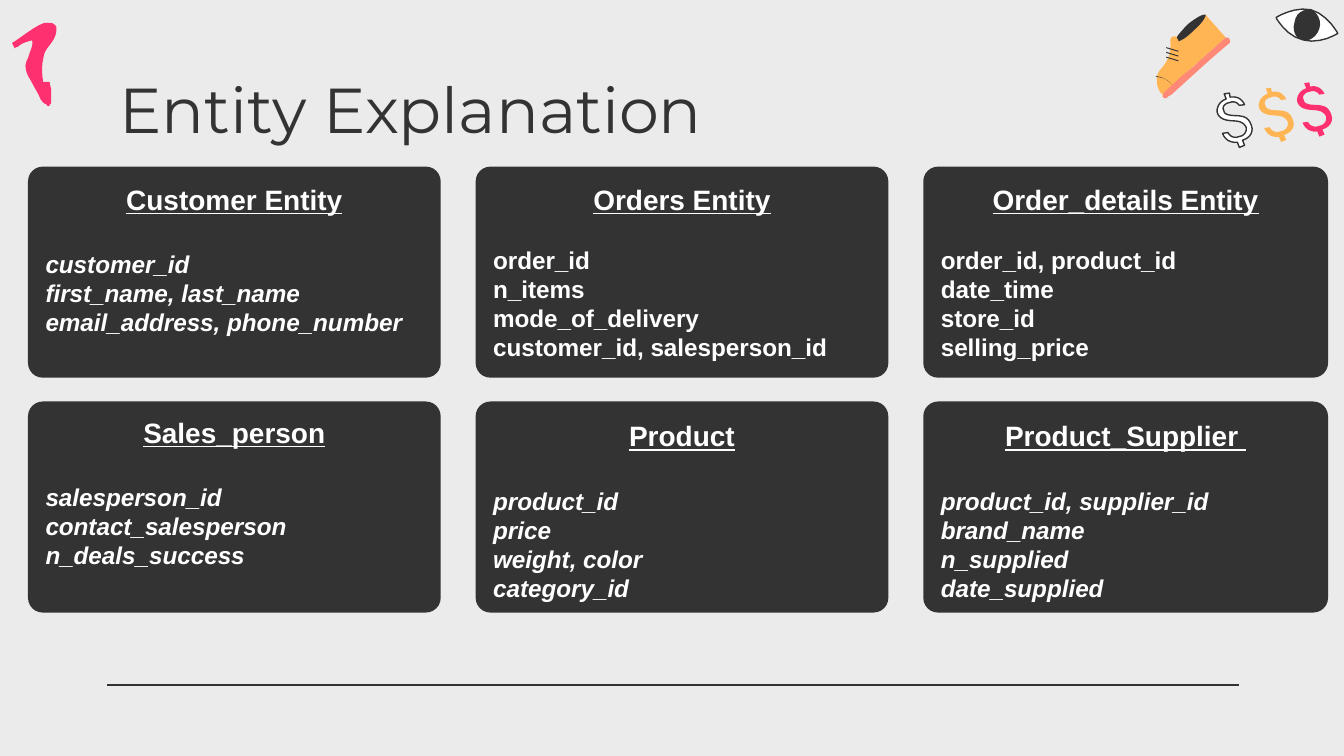
"""Build the "Entity Explanation" slide with six entity cards."""

from lxml.etree import SubElement
from pptx import Presentation
from pptx.dml.color import RGBColor
from pptx.enum.shapes import MSO_CONNECTOR, MSO_SHAPE
from pptx.enum.text import MSO_ANCHOR, PP_ALIGN
from pptx.oxml.ns import qn
from pptx.util import Cm, Pt

DARK = RGBColor(0x33, 0x33, 0x33)
WHITE = RGBColor(0xFF, 0xFF, 0xFF)
PAPER = RGBColor(0xEB, 0xEB, 0xEB)
PINK = RGBColor(0xFF, 0x30, 0x70)
ORANGE = RGBColor(0xFF, 0xB5, 0x54)
CORAL = RGBColor(0xFF, 0x88, 0x76)

UNIT = Cm(2.54) / 1000
CURVE_STEPS = 6
INSET = Cm(0.25)

CARD_LEFT, CARD_TOP = 0.53, 3.15
COLUMN_PITCH, ROW_PITCH = 8.46, 4.44
CARD_WIDTHS = (7.8, 7.8, 7.65)
CARD_HEIGHT = 3.99

CARDS = (
    ("Customer Entity", ("customer_id", "first_name, last_name", "email_address, phone_number"),
     {"italic": True, "top": 0.22, "gap": 17.8}),
    ("Orders Entity", ("order_id", "n_items", "mode_of_delivery", "customer_id, salesperson_id"),
     {"italic": False, "top": 0.22, "gap": 15.4}),
    ("Order_details Entity", ("order_id, product_id", "date_time", "store_id", "selling_price"),
     {"italic": False, "top": 0.22, "gap": 15.4}),
    ("Sales_person", ("salesperson_id", "contact_salesperson", "n_deals_success"),
     {"italic": True, "top": 0.18, "gap": 17.8}),
    ("Product", ("product_id", "price", "weight, color", "category_id"),
     {"italic": True, "top": 0.25, "gap": 17.8}),
    ("Product_Supplier ", ("product_id, supplier_id", "brand_name", "n_supplied", "date_supplied"),
     {"italic": True, "top": 0.25, "gap": 17.8}),
)

SHOE_BODY = ("M 896,11 L 889,16 C 885,20 880,24 876,28 874,29 874,30 874,32 872,38 869,45 865,50 "
             "862,53 860,56 861,61 861,63 861,64 862,66 862,67 864,70 865,70 L 912,28 897,11")
SHOE_SOLE = ("M 912,28 L 893,45 C 889,49 884,53 880,56 L 866,69 C 865,70 865,71 865,72 "
             "L 866,73 868,73 C 869,72 870,71 871,71 880,63 906,39 915,32 916,31 915,29 914,28")
SHOE_OPENING = ("M 896,11 C 894,11 889,14 884,18 878,24 874,29 875,30 875,31 875,31 876,31 "
                "878,31 883,28 888,23 894,18 898,12 897,11")
SHOE_TONGUE = ("M 874,27 C 873,27 873,27 873,27 870,28 871,31 871,33 871,37 870,43 868,46 "
               "L 876,37 C 877,35 877,33 877,32 877,31 877,30 876,29 876,28 875,27 874,27")
SHOE_TOE_SEAM = "M 860,56.7 C 865,57 869,60 872,63 869,59.5 865,57.3 860,57.3"
BOOT = ("M 37,17 C 36,17 35,17 33,17 25,20 17,27 9,32 L 11,36 C 12,35 12,35 13,35 16,32 20,31 "
        "24,30 25,34 22,39 21,43 20,45 19,47 19,49 19,53 21,57 23,60 25,64 27,67 29,71 "
        "30,74 32,77 35,78 35,79 36,79 36,79 37,79 37,78 37,78 38,77 38,77 38,76 "
        "38,73 38,70 38,66 38,65 37,63 37,61 L 33,61 C 32,61 32,61 32,60 31,54 31,47 33,40 "
        "35,35 39,32 41,27 42,25 42,22 42,20 41,18 39,17 37,17")
EYE = ("M 974,7 C 961,6 949,16 949,16 949,16 958,29 971,30 984,32 996,22 996,22 "
       "996,22 987,9 974,7")
IRIS = ("M 974,7 C 968,7 963,11 963,18 962,24 965,30 971,30 976,31 981,26 982,20 "
        "983,14 979,8 974,7")
DOLLAR = ("M 973,61 L 974,65 C 969,66 966,70 966,74 967,79 971,81 978,82 983,83 985,85 986,88 "
          "986,91 984,94 980,94 976,95 973,93 972,90 L 968,90 C 969,95 973,98 978,98 "
          "L 979,102 983,101 982,97 C 988,96 991,92 990,87 989,82 987,79 978,78 "
          "973,77 971,76 971,73 970,71 972,68 976,68 980,67 982,69 983,71 L 987,71 "
          "C 986,68 984,64 977,64 L 977,61")


def trace(outline):
    """Turn an outline of lines and curves into a list of points."""
    points, controls, command = [], [], "M"
    for token in outline.split():
        if token in "MLC":
            command = token
            continue
        point = tuple(10 * float(part) for part in token.split(","))
        if command != "C":
            points.append(point)
            continue
        controls.append(point)
        if len(controls) == 3:
            curve = list(zip(points[-1], *controls))
            for step in range(1, CURVE_STEPS + 1):
                t = step / CURVE_STEPS
                s = 1 - t
                points.append(tuple(s**3 * a + 3 * s * s * t * b + 3 * s * t * t * c + t**3 * d
                                    for a, b, c, d in curve))
            controls = []
    return points


def paint(shape, fill, line=None):
    """Give a shape a flat fill and an optional thin line."""
    shape.shadow.inherit = False
    shape.fill.solid()
    shape.fill.fore_color.rgb = fill
    if line is None:
        shape.line.fill.background()
    else:
        shape.line.color.rgb = line
        shape.line.width = Pt(0.75)


def add_outline(page, outline, fill, line=None, shift=(0, 0), rotation=0):
    """Draw a closed freeform, moved by hundredths of an inch."""
    points = [(x + 10 * shift[0], y + 10 * shift[1]) for x, y in trace(outline)]
    builder = page.shapes.build_freeform(*points[0], scale=UNIT)
    builder.add_line_segments(points[1:], close=True)
    shape = builder.convert_to_shape()
    shape.rotation = rotation
    paint(shape, fill, line)


def add_line(page, start, end, width):
    """Draw a straight dark line between two points in centimetres."""
    line = page.shapes.add_connector(MSO_CONNECTOR.STRAIGHT, *map(Cm, start + end))
    line.line.color.rgb = DARK
    line.line.width = Pt(width)
    SubElement(line._element.spPr, qn("a:effectLst"))


def write(para, text, *, size, color, font="Arial", bold=False, italic=False, underline=False,
          align=PP_ALIGN.LEFT):
    """Put one formatted span of text in a paragraph."""
    para.alignment = align
    span = para.add_run()
    span.text = text
    span.font.name, span.font.size, span.font.color.rgb = font, Pt(size), color
    span.font.bold, span.font.italic, span.font.underline = bold, italic, underline


def prepare_frame(box, anchor, top=INSET):
    """Set wrapping, insets and anchor, and return the text frame."""
    frame = box.text_frame
    frame.word_wrap = True
    frame.vertical_anchor = anchor
    frame.margin_left = frame.margin_right = frame.margin_bottom = INSET
    frame.margin_top = top
    return frame


def add_card(page, index, name, fields, italic, top, gap):
    """Draw one entity card at its place in the grid."""
    row, column = divmod(index, len(CARD_WIDTHS))
    box = page.shapes.add_shape(
        MSO_SHAPE.ROUNDED_RECTANGLE, Cm(CARD_LEFT + column * COLUMN_PITCH),
        Cm(CARD_TOP + row * ROW_PITCH), Cm(CARD_WIDTHS[column]), Cm(CARD_HEIGHT))
    box.adjustments[0] = 0.07
    paint(box, DARK)
    frame = prepare_frame(box, MSO_ANCHOR.TOP, Cm(top))
    heading = frame.paragraphs[0]
    heading.space_after = Pt(gap)
    write(heading, name, size=15, color=WHITE, bold=True, underline=True, align=PP_ALIGN.CENTER)
    for field in fields:
        para = frame.add_paragraph()
        para.line_spacing = Pt(15.6)
        write(para, field, size=13, color=WHITE, bold=True, italic=italic)


def add_title(page, text):
    """Add the slide title."""
    box = page.shapes.add_textbox(Cm(2.01), Cm(1.24), Cm(21.41), Cm(1.6))
    frame = prepare_frame(box, MSO_ANCHOR.MIDDLE)
    write(frame.paragraphs[0], text, size=34, color=DARK, font="Montserrat")


def add_decorations(page):
    """Draw the boot, the shoe, the eye and the dollar signs."""
    for outline, fill in ((SHOE_BODY, ORANGE), (SHOE_SOLE, CORAL), (SHOE_OPENING, DARK),
                          (SHOE_TOE_SEAM, DARK), (SHOE_TONGUE, ORANGE), (BOOT, PINK)):
        add_outline(page, outline, fill)
    for lace in range(3):
        y = 0.9 + 0.09 * lace
        add_line(page, (22.04, y), (22.27, y + 0.07), 0.5)
    add_outline(page, EYE, WHITE, line=DARK, rotation=7.2)
    add_outline(page, IRIS, DARK, rotation=7.2)
    for fill, line, shift in ((ORANGE, None, (-28.5, 4)), (WHITE, DARK, (-59.5, 8)),
                              (PINK, None, (0, 0))):
        add_outline(page, DOLLAR, fill, line, shift, rotation=-7.5)


def main():
    """Build and save the deck."""
    deck = Presentation()
    deck.slide_width, deck.slide_height = Cm(25.4), Cm(14.29)
    page = deck.slides.add_slide(deck.slide_layouts[6])
    page.background.fill.solid()
    page.background.fill.fore_color.rgb = PAPER
    add_line(page, (23.42, 12.95), (2.03, 12.95), 0.75)
    add_title(page, "Entity Explanation")
    add_decorations(page)
    for index, (name, fields, layout) in enumerate(CARDS):
        add_card(page, index, name, fields, **layout)
    deck.save("out.pptx")


if __name__ == "__main__":
    main()
